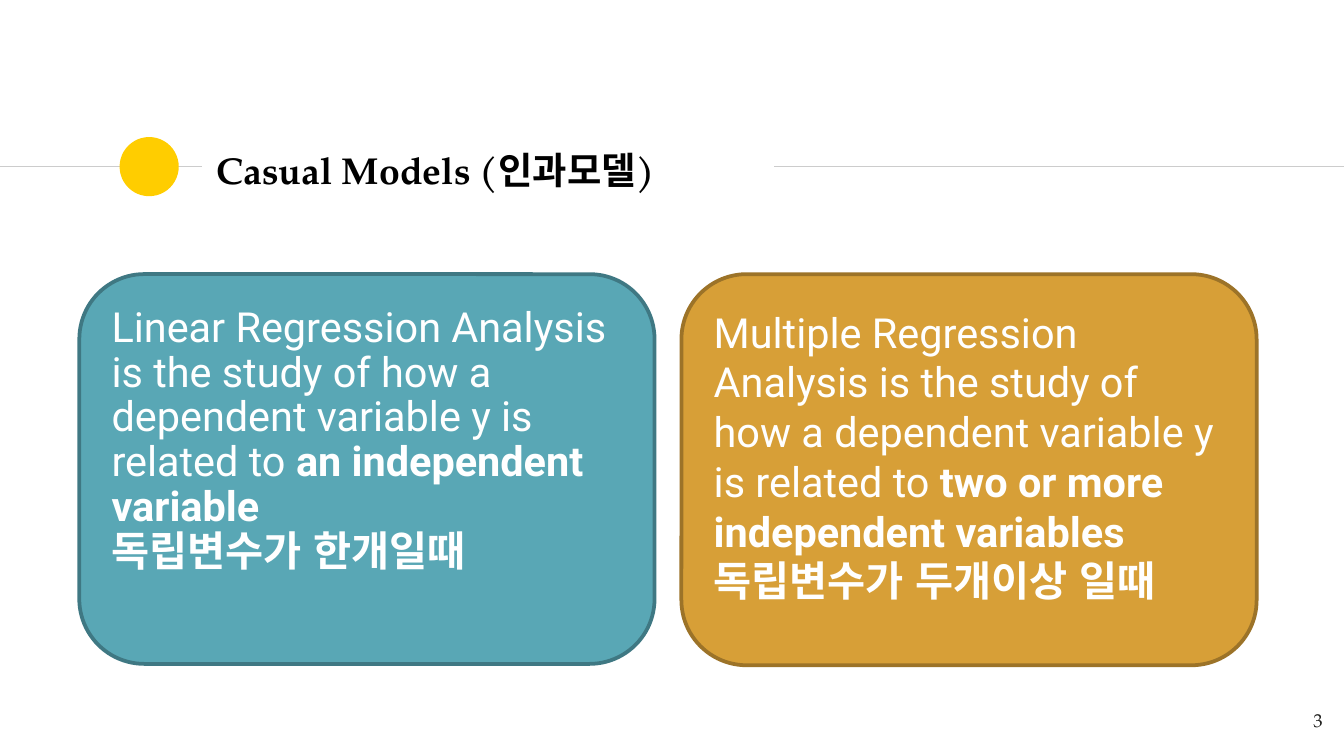
import dataclasses

import lxml.etree
import pptx
import pptx.dml.color
import pptx.enum.shapes
import pptx.enum.text
import pptx.oxml.ns
import pptx.util

Inches = pptx.util.Inches
Pt = pptx.util.Pt
SHAPE = pptx.enum.shapes.MSO_SHAPE
ALIGN = pptx.enum.text.PP_ALIGN
ANCHOR = pptx.enum.text.MSO_ANCHOR
qn = pptx.oxml.ns.qn


@dataclasses.dataclass(frozen=True)
class Theme:
    """Colours, fonts and type sizes of the deck."""
    rule: str = "CCCCCC"
    accent: str = "FFCD00"
    title: str = "000000"
    number: str = "1D1D1B"
    light: str = "FFFFFF"
    teal: tuple = ("59A7B5", "3F7883")
    ochre: tuple = ("D79F37", "9C7328")
    serif: str = "TeX Gyre Pagella"
    sans: str = "Roboto"
    korean: str = "Arial"
    title_size: float = 20
    body_size: float = 22.2
    number_size: float = 10


class Slide:
    """Draws styled elements on one slide."""

    def __init__(self, prs, theme):
        self.theme = theme
        self.s = prs.slides.add_slide(prs.slide_layouts[5])

    def color(self, value):
        return pptx.dml.color.RGBColor.from_string(value)

    def frame(self, tf, **formats):
        values = dict.fromkeys(
            ("margin_left", "margin_top", "margin_right", "margin_bottom"), Inches(0.1))
        values.update(word_wrap=True, vertical_anchor=ANCHOR.TOP)
        for name, value in (values | formats).items():
            setattr(tf, name, value)
        return tf.paragraphs[0]

    def run(self, p, text, color, **formats):
        r = p.add_run()
        r.text = text
        for name, value in formats.items():
            setattr(r.font, name, value)
        r.font.color.rgb = self.color(color)
        return r

    def title(self, text, box):
        t = self.theme
        sp = self.s.shapes.title
        sp.left, sp.top, sp.width, sp.height = map(Inches, box)
        p = self.frame(sp.text_frame, vertical_anchor=ANCHOR.MIDDLE)
        p.alignment = ALIGN.LEFT
        self.run(p, text, t.title, name=t.serif, size=Pt(t.title_size), bold=True)

    def rule(self, left, right, y):
        line = self.s.shapes.add_connector(
            pptx.enum.shapes.MSO_CONNECTOR.STRAIGHT,
            Inches(left), Inches(y), Inches(right), Inches(y))
        line.line.color.rgb = self.color(self.theme.rule)
        line.line.width = Pt(0.75)
        lxml.etree.SubElement(line._element.spPr, qn("a:effectLst"))

    def shape(self, kind, box, fill, border=None):
        sp = self.s.shapes.add_shape(kind, *map(Inches, box))
        sp.shadow.inherit = False
        sp.fill.solid()
        sp.fill.fore_color.rgb = self.color(fill)
        if border:
            sp.line.color.rgb = self.color(border)
            sp.line.width = Pt(2)
        else:
            sp.line.fill.background()
        return sp

    def card(self, box, colors, spacing, plain, strong, korean):
        t = self.theme
        sp = self.shape(SHAPE.ROUNDED_RECTANGLE, box, *colors)
        p = self.frame(sp.text_frame)
        p.alignment = ALIGN.LEFT
        p.line_spacing = spacing
        size = Pt(t.body_size)
        self.run(p, plain, t.light, name=t.sans, size=size)
        self.run(p, strong, t.light, name=t.sans, size=size, bold=True)
        p.add_line_break()
        r = self.run(p, korean, t.light, name=t.korean, size=size, bold=True)
        lxml.etree.SubElement(r.font._element, qn("a:ea"), typeface=t.korean)

    def number(self, text, box):
        t = self.theme
        p = self.frame(self.s.shapes.add_textbox(*map(Inches, box)).text_frame)
        p.alignment = ALIGN.RIGHT
        self.run(p, text, t.number, name=t.serif, size=Pt(t.number_size))


def main():
    prs = pptx.Presentation()
    prs.slide_width = Inches(10)
    prs.slide_height = prs.slide_width * 9 // 16
    theme = Theme()
    s = Slide(prs, theme)
    for left, right in ((0, 1.5), (5.76, 10)):
        s.rule(left, right, 1.24)
    s.shape(SHAPE.OVAL, (0.89, 1.02, 0.44, 0.44), theme.accent)
    s.title("Casual Models (인과모델)", (1.51, 1.02, 4.24, 0.48))
    study = "Regression Analysis is the study of how a dependent variable y is related to "
    cards = (
        (theme.teal, 2.9, 0.9, "Linear ", "an independent variable", "독립변수가 한개일때"),
        (theme.ochre, 2.91, 1.0, "Multiple ", "two or more independent variables",
         "독립변수가 두개이상 일때"),
    )
    for i, (colors, height, spacing, kind, strong, korean) in enumerate(cards):
        box = (0.59 + 4.48 * i, 2.04, 4.28, height)
        s.card(box, colors, spacing, kind + study, strong, korean)
    s.number("3", (9.34, 5.19, 0.6, 0.43))
    prs.save("out.pptx")


if __name__ == "__main__":
    main()
